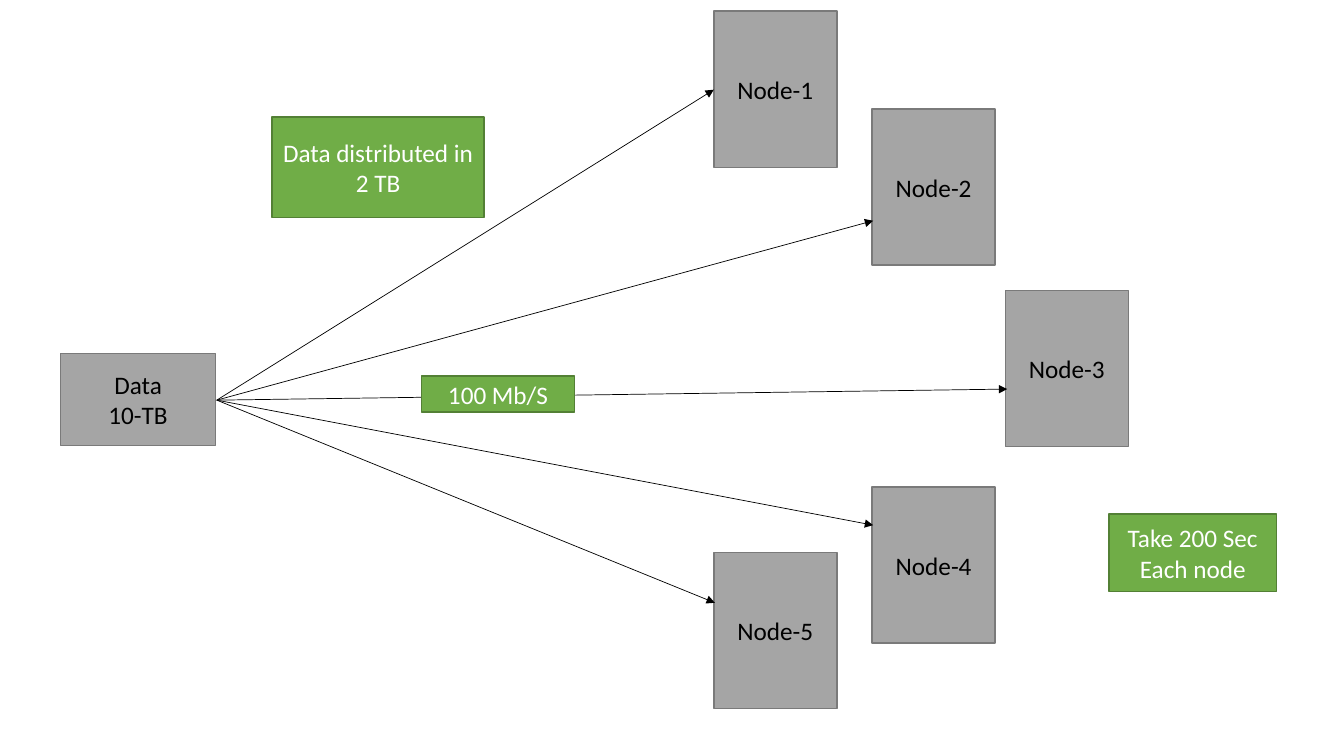
"""Diagram of data spread from one source to five nodes."""
import lxml.etree
import pptx
import pptx.dml.color
import pptx.enum.shapes
import pptx.enum.text
import pptx.oxml.ns
import pptx.util

Inches = pptx.util.Inches
COLOURS = {
    "grey": "A5A5A5",
    "grey_edge": "7A7A7A",
    "green": "70AD47",
    "green_edge": "538035",
    "black": "000000",
    "white": "FFFFFF",
}
NODE_SIZE = (1.22, 1.55)
SOURCE_EXIT = (2.15, 3.97)
NODES = [
    ("Node-1", (7.08, 0.11), (7.08, 0.89)),
    ("Node-2", (8.65, 1.08), (8.66, 2.19)),
    ("Node-3", (9.97, 2.88), (9.99, 3.86)),
    ("Node-4", (8.65, 4.83), (8.66, 5.21)),
    ("Node-5", (7.08, 5.48), (7.09, 5.98)),
]
NOTES = [
    (["100 Mb/S"], (4.18, 3.73), (1.52, 0.36)),
    (["Take 200 Sec", "Each node"], (11, 5.1), (1.66, 0.77)),
    (["Data distributed in 2 TB"], (2.7, 1.16), (2.1, 1)),
]


def colour(name):
    """Return the named colour."""
    return pptx.dml.color.RGBColor.from_string(COLOURS[name])


def write(para, text, *, size=18, font="Calibri", ink="black"):
    """Add centred, formatted text to a paragraph."""
    para.alignment = pptx.enum.text.PP_ALIGN.CENTER
    span = para.add_run()
    span.text = text
    span.font.size = pptx.util.Pt(size)
    span.font.name = font
    span.font.color.rgb = colour(ink)


class Diagram:
    """Draw styled boxes and arrows on one page."""

    def __init__(self, page, edge_width=1, arrow_width=0.5):
        """Keep the page and the line widths."""
        self.page = page
        self.edge_width = pptx.util.Pt(edge_width)
        self.arrow_width = pptx.util.Pt(arrow_width)

    def box(self, lines, corner, size, fill="grey", ink="black"):
        """Add a rectangle with one paragraph for each line."""
        box = self.page.shapes.add_shape(
            pptx.enum.shapes.MSO_SHAPE.RECTANGLE, *map(Inches, corner + size)
        )
        box.shadow.inherit = False
        box.fill.solid()
        box.fill.fore_color.rgb = colour(fill)
        box.line.color.rgb = colour(fill + "_edge")
        box.line.width = self.edge_width
        frame = box.text_frame
        frame.word_wrap = True
        frame.vertical_anchor = pptx.enum.text.MSO_ANCHOR.MIDDLE
        for index, text in enumerate(lines):
            para = frame.add_paragraph() if index else frame.paragraphs[0]
            write(para, text, ink=ink)

    def arrow(self, start, end):
        """Add a thin straight arrow."""
        arrow = self.page.shapes.add_connector(
            pptx.enum.shapes.MSO_CONNECTOR.STRAIGHT, *map(Inches, start + end)
        )
        arrow.line.color.rgb = colour("black")
        arrow.line.width = self.arrow_width
        qn = pptx.oxml.ns.qn
        properties = arrow.element.spPr
        line = properties.find(qn("a:ln"))
        lxml.etree.SubElement(line, qn("a:tailEnd"), type="triangle")
        lxml.etree.SubElement(properties, qn("a:effectLst"))


def main():
    """Build and save the deck."""
    deck = pptx.Presentation()
    deck.slide_width = Inches(13.33)
    deck.slide_height = Inches(7.5)
    blank = deck.slide_layouts.get_by_name("Blank")
    diagram = Diagram(deck.slides.add_slide(blank))

    for name, corner, _ in NODES:
        diagram.box([name], corner, NODE_SIZE)
    diagram.box(["Data", "10-TB"], (0.6, 3.51), (1.54, 0.91))
    for _, _, entry in NODES:
        diagram.arrow(SOURCE_EXIT, entry)
    for lines, corner, size in NOTES:
        diagram.box(lines, corner, size, fill="green", ink="white")

    deck.save("out.pptx")


if __name__ == "__main__":
    main()
